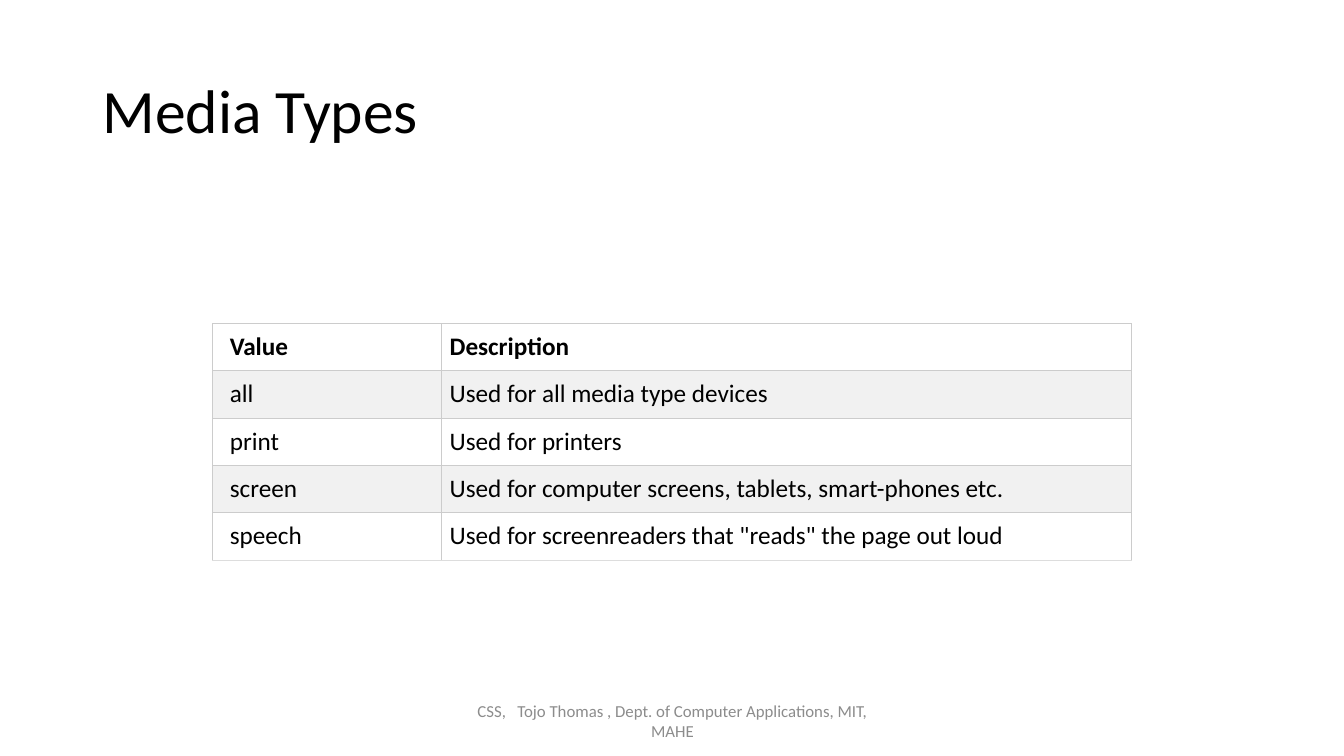
from dataclasses import dataclass

from lxml.etree import SubElement
from pptx import Presentation
from pptx.dml.color import RGBColor
from pptx.enum.text import MSO_ANCHOR, PP_ALIGN
from pptx.oxml.ns import qn
from pptx.util import Emu, Pt

SCALE = 9144  # EMU in one px, 100 px to the inch


def px(count):
    return Emu(count * SCALE)


@dataclass(frozen=True)
class Theme:
    font: str = "Calibri"
    ink: str = "000000"
    muted: str = "8C8C8C"
    plain: str = "FFFFFF"
    band: str = "F1F1F1"
    rule: str = "CCCCCC"
    base: str = "DDDDDD"
    title: int = 44
    body: int = 18
    small: int = 12
    line: float = 0.75


class Board:
    def __init__(self, slide, theme):
        self.slide = slide
        self.theme = theme

    def style(self, para, size, color, bold=False):
        font = para.font
        font.name = self.theme.font
        font.size = Pt(size)
        font.bold = bold
        font.color.rgb = RGBColor.from_string(color)

    def text(self, words, box, size, color, align=PP_ALIGN.LEFT, space=1.0):
        frame = self.slide.shapes.add_textbox(*map(px, box)).text_frame
        frame.word_wrap = True
        frame.vertical_anchor = MSO_ANCHOR.MIDDLE
        para = frame.paragraphs[0]
        para.text = words
        para.alignment = align
        para.line_spacing = space
        self.style(para, size, color)

    def edge(self, cell, side, color):
        """Draw one side of a cell: L, R, T or B."""
        props = cell._tc.get_or_add_tcPr()
        line = SubElement(props, qn(f"a:ln{side}"), w=str(Pt(self.theme.line)))
        fill = SubElement(line, qn("a:solidFill"))
        SubElement(fill, qn("a:srgbClr"), val=color)

    def cell(self, cell, words, left, shade, base, bold):
        cell.margin_left = px(left)
        cell.margin_right = cell.margin_top = cell.margin_bottom = px(8)
        for side in "LRT":
            self.edge(cell, side, self.theme.rule)
        self.edge(cell, "B", base)
        cell.fill.solid()
        cell.fill.fore_color.rgb = RGBColor.from_string(shade)
        para = cell.text_frame.paragraphs[0]
        para.text = words
        self.style(para, self.theme.body, self.theme.ink, bold)

    def table(self, rows, left, top, widths, height):
        """Add a table with a bold first row and every second row shaded."""
        look = self.theme
        frame = self.slide.shapes.add_table(
            len(rows), len(widths), px(left), px(top),
            px(sum(widths)), px(height * len(rows)))
        grid = frame.table
        grid.horz_banding = False
        for col, width in zip(grid.columns, widths):
            col.width = px(width)
        for r, row in enumerate(rows):
            grid.rows[r].height = px(height)
            shade = look.band if r % 2 else look.plain
            base = look.base if r == len(rows) - 1 else look.rule
            for c, words in enumerate(row):
                inset = 8 if c else 17
                self.cell(grid.cell(r, c), words, inset, shade, base, r == 0)


MEDIA = [
    ("Value", "Description"),
    ("all", "Used for all media type devices"),
    ("print", "Used for printers"),
    ("screen", "Used for computer screens, tablets, smart-phones etc."),
    ("speech", 'Used for screenreaders that "reads" the page out loud'),
]


def main():
    deck = Presentation()
    deck.slide_width, deck.slide_height = px(1333), px(750)
    look = Theme()
    board = Board(deck.slides.add_slide(deck.slide_layouts[6]), look)
    board.text("Media Types", (92, 40, 1150, 145), look.title, look.ink,
               space=0.9)
    board.table(MEDIA, 211, 321, (227, 684), 47)
    board.text("CSS,   Tojo Thomas , Dept. of Computer Applications, MIT, MAHE",
               (442, 695, 450, 40), look.small, look.muted, PP_ALIGN.CENTER)
    deck.save("out.pptx")


if __name__ == "__main__":
    main()
